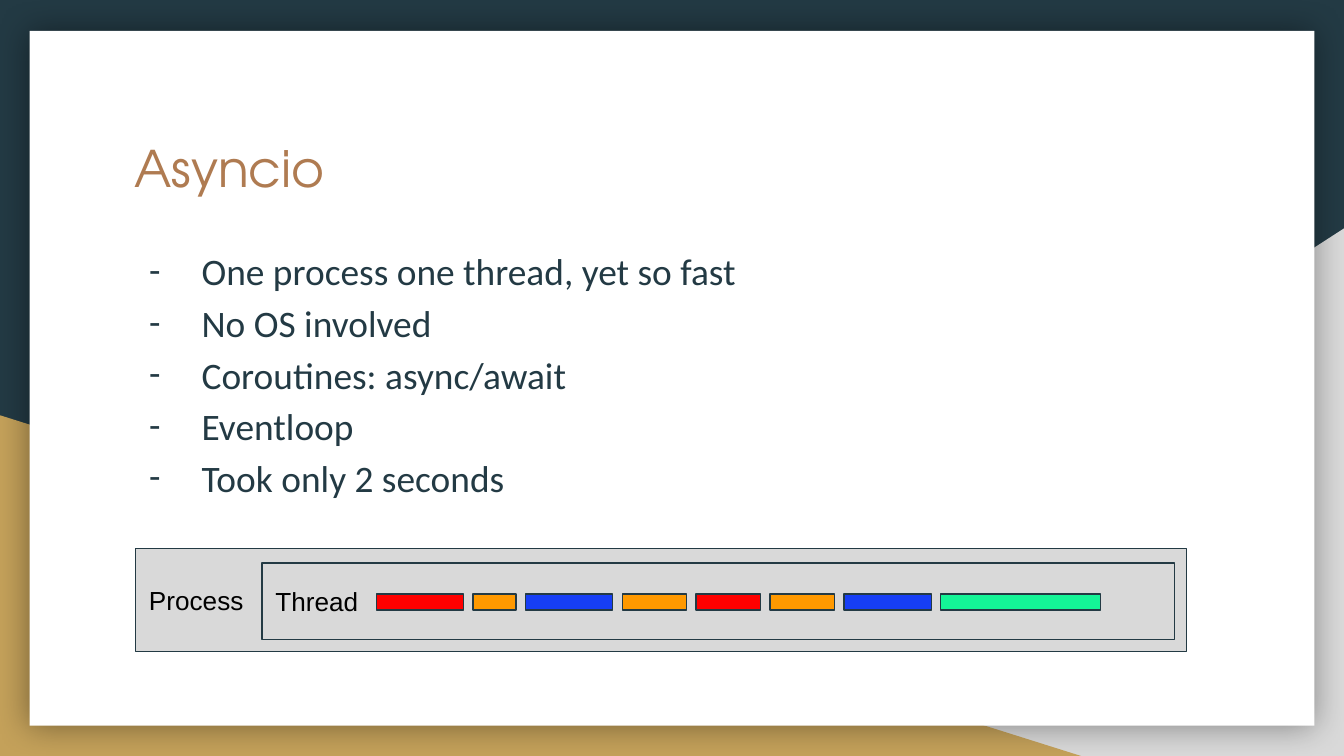
from dataclasses import dataclass

from lxml import etree
from pptx import Presentation
from pptx import util as u
from pptx.dml.color import RGBColor
from pptx.enum import shapes, text
from pptx.oxml import ns


@dataclass(frozen=True)
class Theme:
    """Colours, fonts and type sizes of the deck."""
    ink: str = "233A44"
    grey: str = "D9D9D9"
    gold: str = "C4A15A"
    white: str = "FFFFFF"
    black: str = "000000"
    copper: str = "AF7B51"
    red: str = "FF0000"
    orange: str = "FF9900"
    blue: str = "163EF5"
    green: str = "14F597"
    title_font: str = "TeX Gyre Adventor"
    body_font: str = "Calibri"
    label_font: str = "Arial"
    title_size: int = 27
    body_size: int = 20
    label_size: int = 14
    line_width: float = 0.75


class SlideBuilder:
    """Adds styled elements to the current slide."""

    def __init__(self, page, theme):
        """Keep the slide and the style."""
        self.page = page
        self.theme = theme

    def background(self, colour):
        """Fill the slide background."""
        fill = self.page.background.fill
        fill.solid()
        fill.fore_color.rgb = RGBColor.from_string(colour)

    def shape(self, kind, area, colour, outlined=False):
        """Add a filled preset shape."""
        box = self.page.shapes.add_shape(kind, *map(u.Inches, area))
        box.shadow.inherit = False
        box.fill.solid()
        box.fill.fore_color.rgb = RGBColor.from_string(colour)
        if outlined:
            box.line.color.rgb = RGBColor.from_string(self.theme.ink)
            box.line.width = u.Pt(self.theme.line_width)
        else:
            box.line.fill.background()
        return box

    def triangle(self, area, colour, flipped=False):
        """Add a right triangle, mirrored if asked."""
        box = self.shape(shapes.MSO_SHAPE.RIGHT_TRIANGLE, area, colour)
        if flipped:
            box._element.spPr.find(ns.qn("a:xfrm")).set("flipH", "1")

    def card(self, area):
        """Add the white card with a soft shadow."""
        box = self.shape(shapes.MSO_SHAPE.RECTANGLE, area, self.theme.white)
        effects = box._element.spPr.find(ns.qn("a:effectLst"))
        shadow = etree.SubElement(effects, ns.qn("a:outerShdw"), blurRad=str(u.Pt(18)),
                                  dist="0", dir="0", algn="ctr", rotWithShape="0")
        colour = etree.SubElement(shadow, ns.qn("a:srgbClr"), val=self.theme.black)
        etree.SubElement(colour, ns.qn("a:alpha"), val="40000")

    def frame(self, box, anchor):
        """Set margins, wrapping and anchor of a text frame."""
        frame = box.text_frame
        frame.word_wrap = True
        frame.auto_size = text.MSO_AUTO_SIZE.NONE
        frame.vertical_anchor = anchor
        frame.margin_left = frame.margin_right = u.Inches(0.1)
        frame.margin_top = frame.margin_bottom = u.Inches(0.1)
        return frame

    def span(self, para, words, font, size, colour):
        """Add one left-aligned run."""
        para.alignment = text.PP_ALIGN.LEFT
        span = para.add_run()
        span.text = words
        span.font.name = font
        span.font.size = u.Pt(size)
        span.font.color.rgb = RGBColor.from_string(colour)

    def placeholder(self, index, area):
        """Move a placeholder into place, in front of earlier shapes."""
        box = self.page.placeholders[index]
        box.left, box.top, box.width, box.height = map(u.Inches, area)
        self.page.shapes._spTree.append(box._element)
        return self.frame(box, text.MSO_ANCHOR.TOP)

    def title(self, words, area):
        """Fill the title placeholder."""
        para = self.placeholder(0, area).paragraphs[0]
        theme = self.theme
        self.span(para, words, theme.title_font, theme.title_size, theme.copper)

    def bullets(self, lines, area):
        """Fill the body placeholder with a dashed list."""
        frame = self.placeholder(1, area)
        theme = self.theme
        for number, words in enumerate(lines):
            para = frame.add_paragraph() if number else frame.paragraphs[0]
            para.line_spacing = 1.15
            para.space_before = para.space_after = u.Pt(0)
            props = para._p.get_or_add_pPr()
            props.set("marL", str(u.Inches(0.5)))
            props.set("indent", str(u.Inches(-0.39)))
            colour = etree.SubElement(props, ns.qn("a:buClr"))
            etree.SubElement(colour, ns.qn("a:srgbClr"), val=theme.ink)
            etree.SubElement(props, ns.qn("a:buFont"), typeface=theme.body_font)
            etree.SubElement(props, ns.qn("a:buChar"), char="-")
            self.span(para, words, theme.body_font, theme.body_size, theme.ink)

    def container(self, label, area):
        """Add a labelled grey box."""
        theme = self.theme
        box = self.shape(shapes.MSO_SHAPE.RECTANGLE, area, theme.grey, outlined=True)
        para = self.frame(box, text.MSO_ANCHOR.MIDDLE).paragraphs[0]
        self.span(para, label, theme.label_font, theme.label_size, theme.black)

    def timeline(self, tasks, left, top, height, gap):
        """Add a row of task bars with equal gaps."""
        for colour, width in tasks:
            area = (left, top, width, height)
            self.shape(shapes.MSO_SHAPE.RECTANGLE, area, colour, outlined=True)
            left += width + gap


def main():
    """Build and save the deck."""
    deck = Presentation()
    deck.slide_width = u.Inches(10)
    deck.slide_height = deck.slide_width * 9 // 16
    theme = Theme()
    builder = SlideBuilder(deck.slides.add_slide(deck.slide_layouts[1]), theme)

    builder.background(theme.ink)
    builder.triangle((3.92, 1.7, 6.08, 3.93), theme.grey, flipped=True)
    builder.triangle((0, 3.09, 8.06, 2.54), theme.gold)
    builder.card((0.22, 0.23, 9.56, 5.17))

    builder.title("Asyncio", (0.9, 0.92, 8.21, 0.57))
    builder.bullets([
        "One process one thread, yet so fast",
        "No OS involved",
        "Coroutines: async/await",
        "Eventloop",
        "Took only 2 seconds",
    ], (0.9, 1.7, 8.21, 3.15))

    builder.container("Process", (1.01, 4.08, 7.82, 0.77))
    builder.container("Thread", (1.95, 4.19, 6.79, 0.57))
    short, medium, long, longest = 0.32, 0.48, 0.65, 1.19
    builder.timeline([
        (theme.red, long),
        (theme.orange, short),
        (theme.blue, long),
        (theme.orange, medium),
        (theme.red, medium),
        (theme.orange, medium),
        (theme.blue, long),
        (theme.green, longest),
    ], left=2.8, top=4.42, height=0.12, gap=0.07)
    deck.save("out.pptx")


if __name__ == "__main__":
    main()
